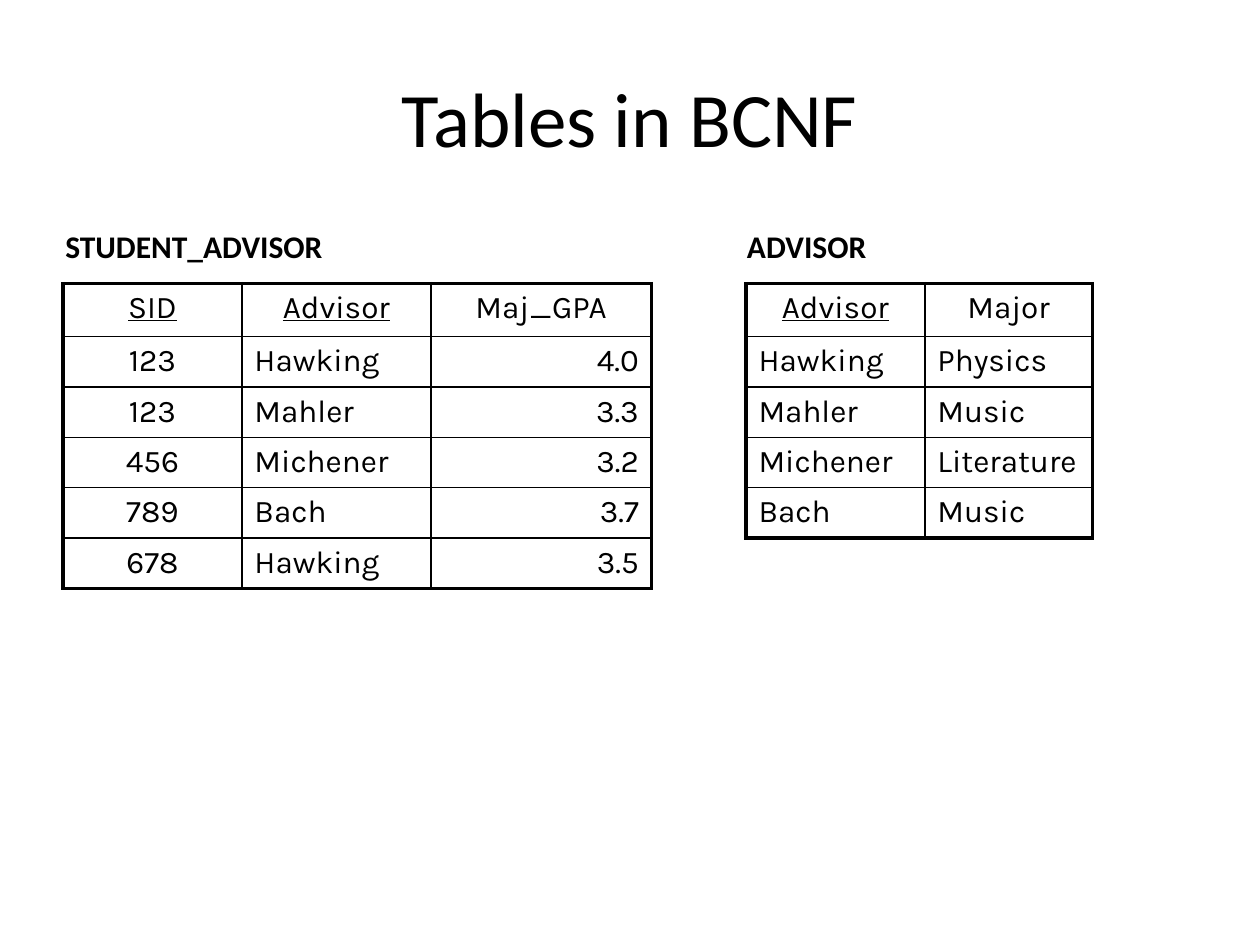
from lxml import etree
from pptx import Presentation
from pptx.dml.color import RGBColor
from pptx.enum.text import MSO_ANCHOR, PP_ALIGN
from pptx.oxml.ns import qn
from pptx.util import Inches, Pt

LEFT, CENTER, RIGHT = PP_ALIGN.LEFT, PP_ALIGN.CENTER, PP_ALIGN.RIGHT
MIDDLE, TOP = MSO_ANCHOR.MIDDLE, MSO_ANCHOR.TOP
COLORS = {"ink": "000000"}
THIN, THICK = 1, 2.25
TABLE_TOP, HEADER_HEIGHT, ROW_HEIGHT = 2.25, 0.42, 0.4


def write(frame, text, align, **font_values):
    paragraph = frame.paragraphs[0]
    paragraph.alignment = align
    run = paragraph.add_run()
    run.text = text
    run.font.color.rgb = RGBColor.from_string(COLORS["ink"])
    for key, value in font_values.items():
        setattr(run.font, key, value)


def set_borders(cell, widths):
    properties = cell._tc.get_or_add_tcPr()
    for position, (side, width) in enumerate(widths.items()):
        line = etree.Element(qn(f"a:{side}"), w=str(Pt(width)))
        fill = etree.SubElement(line, qn("a:solidFill"))
        etree.SubElement(fill, qn("a:srgbClr"), val=COLORS["ink"])
        properties.insert(position, line)


prs = Presentation()
prs.slide_width, prs.slide_height = Inches(10), Inches(7.5)
slide = prs.slides.add_slide(prs.slide_layouts[6])

# Title and relation names
headings = [
    ("Tables in BCNF", (0.5, 0.3, 9, 1.25), CENTER, MIDDLE, True,
     {"size": Pt(44)}),
    ("STUDENT_ADVISOR", (0.42, 1.75, 2.73, 0.4), LEFT, TOP, False,
     {"size": Pt(18), "bold": True}),
    ("ADVISOR", (5.83, 1.75, 1.39, 0.4), LEFT, TOP, False,
     {"size": Pt(18), "bold": True}),
]
for text, place, align, anchor, wrap, font_values in headings:
    frame = slide.shapes.add_textbox(*map(Inches, place)).text_frame
    frame.word_wrap, frame.vertical_anchor = wrap, anchor
    write(frame, text, align, name="Calibri", **font_values)

# Relations: left edge, column widths, body alignment, key columns, rows
relations = [
    (0.5, [1.42, 1.5, 1.75], [CENTER, LEFT, RIGHT], {"SID", "Advisor"}, [
        ["SID", "Advisor", "Maj_GPA"],
        ["123", "Hawking", "4.0"],
        ["123", "Mahler", "3.3"],
        ["456", "Michener", "3.2"],
        ["789", "Bach", "3.7"],
        ["678", "Hawking", "3.5"],
    ]),
    (5.92, [1.42, 1.33], [LEFT, LEFT], {"Advisor"}, [
        ["Advisor", "Major"],
        ["Hawking", "Physics"],
        ["Mahler", "Music"],
        ["Michener", "Literature"],
        ["Bach", "Music"],
    ]),
]
for left, widths, aligns, keys, rows in relations:
    last_row, last_column = len(rows) - 1, len(widths) - 1
    height = HEADER_HEIGHT + ROW_HEIGHT * last_row
    table = slide.shapes.add_table(
        len(rows), len(widths), Inches(left), Inches(TABLE_TOP),
        Inches(sum(widths)), Inches(height)).table
    table.first_row = table.horz_banding = False
    for column, width in zip(table.columns, widths):
        column.width = Inches(width)
    for r, values in enumerate(rows):
        table.rows[r].height = Inches(ROW_HEIGHT if r else HEADER_HEIGHT)
        for c, value in enumerate(values):
            cell = table.cell(r, c)
            cell.fill.background()
            write(cell.text_frame, value, aligns[c] if r else CENTER,
                  name="Karla", size=Pt(18), underline=r == 0 and value in keys)
            set_borders(cell, {
                "lnL": THICK if c == 0 else THIN,
                "lnR": THICK if c == last_column else THIN,
                "lnT": THICK if r == 0 else THIN,
                "lnB": THICK if r == last_row else THIN,
            })

prs.save("out.pptx")
